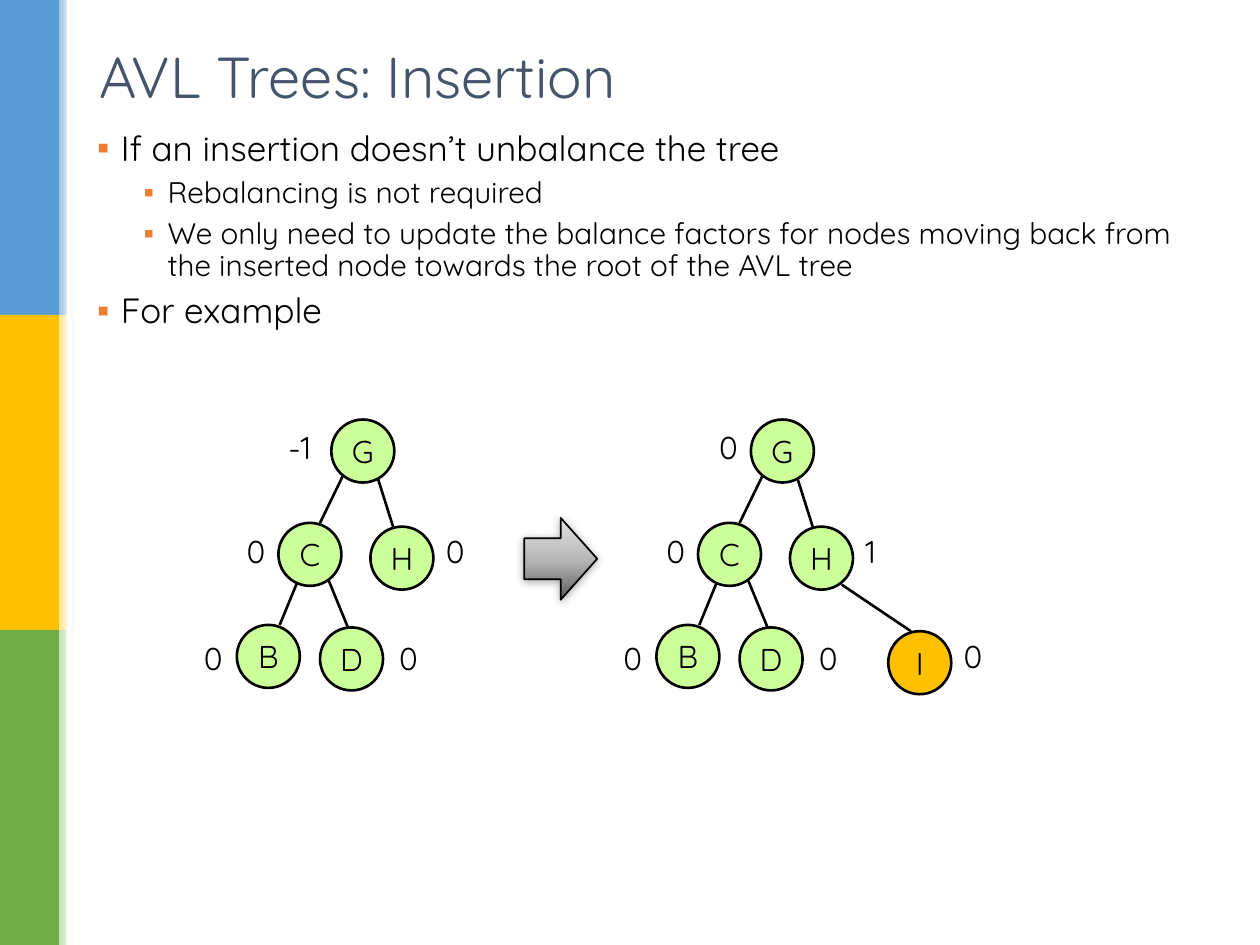
import pptx
import pptx.util
import pptx.dml.color
import pptx.enum.shapes
import pptx.enum.text
import pptx.oxml
import pptx.oxml.ns

Inches, Pt = pptx.util.Inches, pptx.util.Pt
RGB = pptx.dml.color.RGBColor
SHAPE = pptx.enum.shapes.MSO_SHAPE
ALIGN = pptx.enum.text.PP_ALIGN
ANCHOR = pptx.enum.text.MSO_ANCHOR
AUTO = pptx.enum.text.MSO_AUTO_SIZE
qn = pptx.oxml.ns.qn
NS = pptx.oxml.ns.nsdecls("a")

# Content
FONT = "Quicksand"
TITLE = "AVL Trees: Insertion"
BULLETS = [
    (0, "If an insertion doesn’t unbalance the tree"),
    (1, "Rebalancing is not required"),
    (1, "We only need to update the balance factors for nodes moving back "
        "from the inserted node towards the root of the AVL tree"),
    (0, "For example"),
]
LEVELS = [(20, 0.19), (17, 0.56)]  # text size, left indent

BLACK, WHITE = RGB(0, 0, 0), RGB(255, 255, 255)
SLATE, ORANGE = RGB(0x44, 0x54, 0x6A), RGB(0xED, 0x7D, 0x31)
LIME, AMBER = RGB(0xCC, 0xFF, 0x99), RGB(0xFF, 0xC0, 0)
BANDS = [  # solid colour, tint of the soft edge
    (RGB(0x5B, 0x9B, 0xD5), RGB(0x9D, 0xC3, 0xE6)),
    (AMBER, RGB(0xFF, 0xE6, 0x99)),
    (RGB(0x70, 0xAD, 0x47), RGB(0xC5, 0xE0, 0xB4)),
]
ARROW_STOPS = [(0, RGB(0x5E, 0x5E, 0x5E)), (48, RGB(0xB6, 0xB6, 0xB6)),
               (100, RGB(0xE2, 0xE2, 0xE2))]

# Tree geometry, placed as in the left tree
NODE, TREE_STEP = 0.5, 3.33
NODES = {"G": (2.63, 3.33), "H": (2.94, 4.18), "C": (2.21, 4.15),
         "B": (1.88, 4.96), "D": (2.54, 4.98)}
EDGES = [(3, 3.8, 3.12, 4.18), (2.72, 3.78, 2.54, 4.15),
         (2.36, 4.62, 2.22, 4.96), (2.61, 4.61, 2.77, 5)]
FACTOR_SPOTS = {"G": (2.28, 3.35), "H": (3.44, 4.17), "C": (1.86, 4.17),
                "B": (1.52, 5.02), "D": (3.07, 5.02)}
BEFORE = {"G": "-1", "H": "0", "C": "0", "B": "0", "D": "0"}
AFTER = {**BEFORE, "G": "0", "H": "1"}

prs = pptx.Presentation()
prs.slide_width, prs.slide_height = Inches(10), Inches(7.5)
s = prs.slides.add_slide(prs.slide_layouts[1])


def place(sp, *box):
    sp.left, sp.top, sp.width, sp.height = map(Inches, box)


def style(p, size, color):
    for r in p.runs:
        r.font.size, r.font.name = Pt(size), FONT
        r.font.color.rgb = color


def add_shape(kind, box, fill=None, line=0):
    sp = s.shapes.add_shape(kind, *map(Inches, box))
    sp.shadow.inherit = False
    if fill is not None:
        sp.fill.solid()
        sp.fill.fore_color.rgb = fill
    if line:
        sp.line.color.rgb, sp.line.width = BLACK, Pt(line)
    else:
        sp.line.fill.background()
    return sp


def set_gradient(sp, stops, angle):
    sp.fill.gradient()
    grad = sp._element.spPr.find(qn("a:gradFill"))
    for child in list(grad):
        grad.remove(child)
    marks = "".join(f'<a:gs pos="{pos * 1000}"><a:srgbClr val="{c}"/></a:gs>'
                    for pos, c in stops)
    grad.append(pptx.oxml.parse_xml(f"<a:gsLst {NS}>{marks}</a:gsLst>"))
    grad.append(pptx.oxml.parse_xml(f'<a:lin {NS} ang="{angle * 60000}" scaled="0"/>'))


def add_node(name, x, y, fill):
    sp = add_shape(SHAPE.OVAL, (x, y, NODE, NODE), fill, 1.5)
    tf = sp.text_frame
    tf.text, tf.word_wrap, tf.vertical_anchor = name, False, ANCHOR.MIDDLE
    tf.paragraphs[0].alignment = ALIGN.CENTER
    style(tf.paragraphs[0], 18, BLACK)


def add_edge(x1, y1, x2, y2):
    ln = s.shapes.add_connector(pptx.enum.shapes.MSO_CONNECTOR.STRAIGHT,
                                *map(Inches, (x1, y1, x2, y2)))
    ln.line.color.rgb, ln.line.width = BLACK, Pt(1.5)
    ln._element.spPr.append(pptx.oxml.parse_xml(f"<a:effectLst {NS}/>"))


def add_factor(text, x, y):
    wide = 0.09 * (len(text) - 1)  # the sign widens the box to the left
    tb = s.shapes.add_textbox(*map(Inches, (x - wide, y, 0.34 + wide, 0.4)))
    tf = tb.text_frame
    tf.text, tf.word_wrap, tf.auto_size = text, False, AUTO.SHAPE_TO_FIT_TEXT
    style(tf.paragraphs[0], 18, BLACK)


def add_tree(dx, factors):
    for x1, y1, x2, y2 in EDGES:
        add_edge(x1 + dx, y1, x2 + dx, y2)
    for name, (x, y) in NODES.items():
        add_node(name, x + dx, y, LIME)
    for name, (x, y) in FACTOR_SPOTS.items():
        add_factor(factors[name], x + dx, y)


# Side bands with soft edges
band_h = 7.5 / len(BANDS)
for i, (color, tint) in enumerate(BANDS):
    add_shape(SHAPE.RECTANGLE, (0, i * band_h, 0.47, band_h), color)
    edge = add_shape(SHAPE.RECTANGLE, (0.47, i * band_h, 0.12, band_h))
    set_gradient(edge, [(0, tint), (100, WHITE)], 0)
add_shape(SHAPE.RECTANGLE, (0.53, 0, 0.04, 7.5), WHITE)

# Title
title = s.shapes.title
place(title, 0.69, 0.26, 8.62, 0.68)
tf = title.text_frame
tf.text, tf.vertical_anchor, tf.auto_size = TITLE, ANCHOR.MIDDLE, AUTO.NONE
tf.paragraphs[0].alignment = ALIGN.LEFT
style(tf.paragraphs[0], 33, SLATE)

# Bullet list
body = s.placeholders[1]
place(body, 0.67, 0.99, 8.86, 5.99)
tf = body.text_frame
tf.text = "\n".join(text for _, text in BULLETS)
tf.auto_size = AUTO.NONE
for p, (level, _) in zip(tf.paragraphs, BULLETS):
    size, indent = LEVELS[level]
    p.level, p.line_spacing, p.space_before = level, 0.9, Pt(round(size * 0.3))
    style(p, size, BLACK)
    pPr = p._p.get_or_add_pPr()
    pPr.set("marL", str(Inches(indent)))
    pPr.set("indent", str(Inches(-0.19)))
    for xml in (f'<a:buClr {NS}><a:srgbClr val="{ORANGE}"/></a:buClr>',
                f'<a:buFont {NS} typeface="Arial"/>',
                f'<a:buChar {NS} char="▪"/>'):
        pPr.append(pptx.oxml.parse_xml(xml))

# Tree before and after inserting I
add_tree(0, BEFORE)
add_tree(TREE_STEP, AFTER)
add_edge(6.68, 4.64, 7.23, 5.01)
add_node("I", 7.05, 5.01, AMBER)
add_factor("0", 7.55, 5.01)

# Arrow between the trees
arrow = add_shape(SHAPE.RIGHT_ARROW, (4.16, 4.11, 0.58, 0.65), line=1)
set_gradient(arrow, ARROW_STOPS, 270)
arrow._element.spPr.find(qn("a:effectLst")).append(pptx.oxml.parse_xml(
    f'<a:outerShdw {NS} blurRad="{Pt(5)}" dist="{Pt(1)}" dir="5400000">'
    '<a:srgbClr val="000000"><a:alpha val="32000"/></a:srgbClr></a:outerShdw>'))

prs.save("out.pptx")
